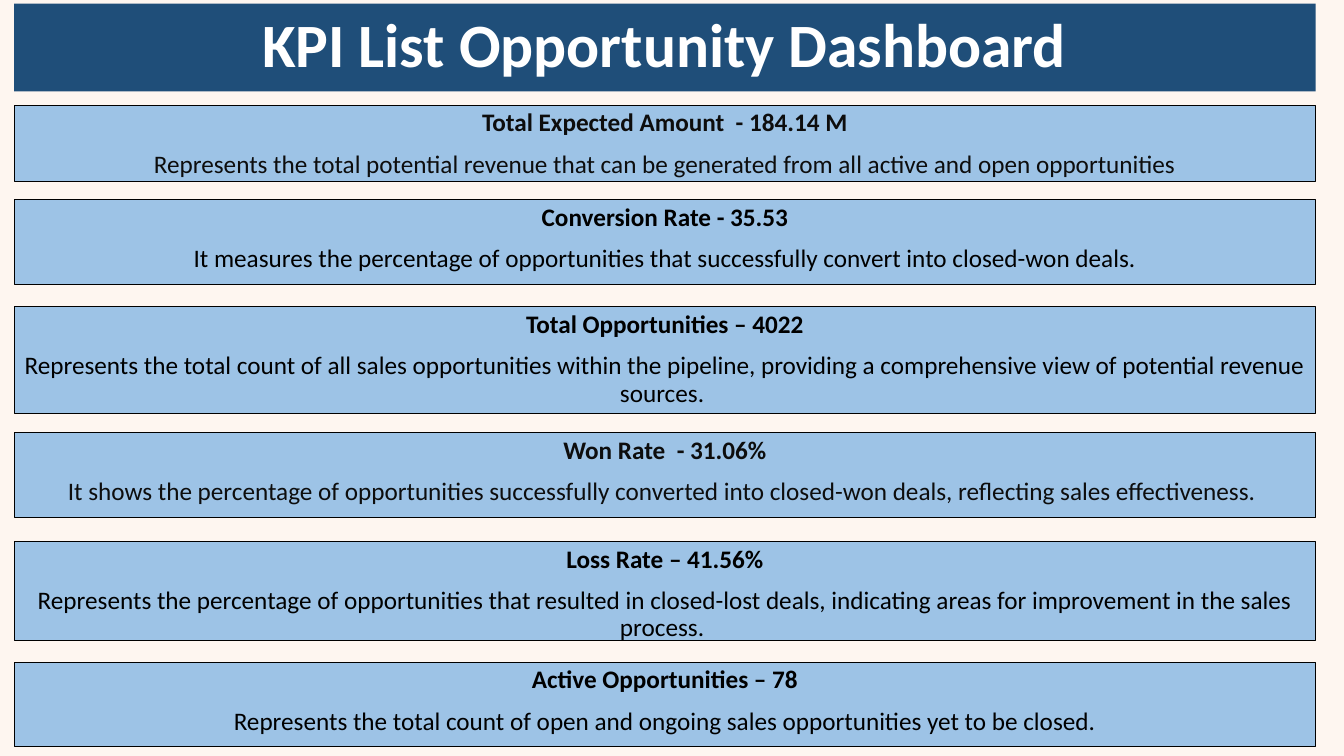
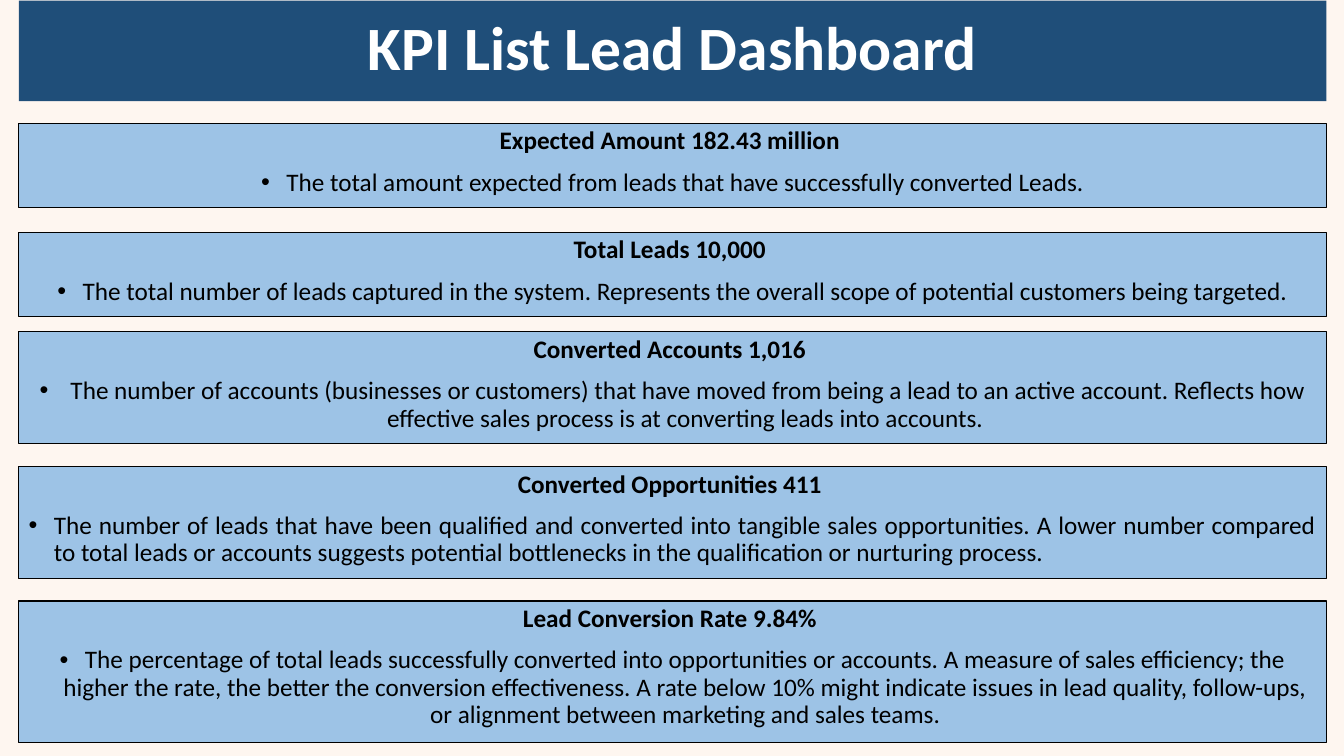
from lxml.etree import SubElement
from pptx import Presentation
from pptx.dml.color import RGBColor
from pptx.enum.shapes import MSO_SHAPE
from pptx.enum.text import MSO_ANCHOR, PP_ALIGN
from pptx.oxml.ns import qn
from pptx.util import Inches, Pt

BACKGROUND = "FEF6F0"
TITLE_BLUE = "1F4E79"
CARD_BLUE = "9DC3E6"
WHITE = "FFFFFF"
BLACK = "000000"
SOFT_BLACK = "0D0D0D"
CENTER = PP_ALIGN.CENTER
JUSTIFY = PP_ALIGN.JUSTIFY

presentation = Presentation()
presentation.slide_width = Inches(13.33)
presentation.slide_height = Inches(7.5)
column = presentation.slide_width / 100
row = presentation.slide_height / 100


def paint(color_format, color):
    color_format.rgb = RGBColor.from_string(color)


def add_band(slide, box, fill, texts, size, ink):
    left, top, width, height = box
    shape = slide.shapes.add_shape(
        MSO_SHAPE.RECTANGLE,
        round(left * column), round(top * row),
        round(width * column), round(height * row),
    )
    shape.shadow.inherit = False
    shape.fill.solid()
    paint(shape.fill.fore_color, fill)
    shape.line.fill.background()
    text_frame = shape.text_frame
    text_frame.word_wrap = True
    text_frame.text = "\n".join(texts)
    for index, paragraph in enumerate(text_frame.paragraphs):
        paragraph.alignment = CENTER
        paragraph.line_spacing = 0.9
        font = paragraph.runs[0].font
        font.name = "Calibri"
        font.size = Pt(size)
        font.bold = index == 0
        paint(font.color, ink)
    return shape


pages = [
    {
        "title": "KPI List Opportunity Dashboard",
        "left": 1.05, "width": 96.85, "title_top": 0.5, "title_height": 11.6,
        "bullets": False,
        "cards": [
            (13.9, 10.1, SOFT_BLACK, CENTER, "Total Expected Amount  - 184.14 M",
             "Represents the total potential revenue that can be generated from all "
             "active and open opportunities"),
            (26.4, 11.2, BLACK, CENTER, "Conversion Rate - 35.53",
             "It measures the percentage of opportunities that successfully convert "
             "into closed-won deals."),
            (40.6, 14.1, BLACK, CENTER, "Total Opportunities – 4022",
             "Represents the total count of all sales opportunities within the pipeline, "
             "providing a comprehensive view of potential revenue sources. "),
            (57.2, 11.2, SOFT_BLACK, CENTER, "Won Rate  - 31.06%",
             "It shows the percentage of opportunities successfully converted into "
             "closed-won deals, reflecting sales effectiveness. "),
            (71.6, 13.1, BLACK, CENTER, "Loss Rate – 41.56%",
             "Represents the percentage of opportunities that resulted in closed-lost "
             "deals, indicating areas for improvement in the sales process. "),
            (87.6, 11.2, BLACK, CENTER, "Active Opportunities – 78",
             "Represents the total count of open and ongoing sales opportunities "
             "yet to be closed."),
        ],
    },
    {
        "title": "KPI List Lead Dashboard",
        "left": 1.4, "width": 97.3, "title_top": 0.1, "title_height": 13.3,
        "bullets": True,
        "cards": [
            (16.3, 11.2, BLACK, CENTER, "Expected Amount 182.43 million ",
             "The total amount expected from leads that have successfully converted Leads."),
            (30.7, 11.2, BLACK, CENTER, "Total Leads 10,000 ",
             "The total number of leads captured in the system. Represents the overall "
             "scope of potential customers being targeted."),
            (43.9, 14.8, BLACK, CENTER, "Converted Accounts 1,016 ",
             " The number of accounts (businesses or customers) that have moved from "
             "being a lead to an active account. Reflects how effective sales process "
             "is at converting leads into accounts."),
            (61.7, 14.8, BLACK, JUSTIFY, "Converted Opportunities 411 ",
             "The number of leads that have been qualified and converted into tangible "
             "sales opportunities. A lower number compared to total leads or accounts "
             "suggests potential bottlenecks in the qualification or nurturing process."),
            (79.5, 18.7, BLACK, CENTER, "Lead Conversion Rate 9.84% ",
             "The percentage of total leads successfully converted into opportunities or "
             "accounts. A measure of sales efficiency; the higher the rate, the better "
             "the conversion effectiveness. A rate below 10% might indicate issues in "
             "lead quality, follow-ups, or alignment between marketing and sales teams."),
        ],
    },
]

for page in pages:
    slide = presentation.slides.add_slide(presentation.slide_layouts[6])
    slide.background.fill.solid()
    paint(slide.background.fill.fore_color, BACKGROUND)
    left, width = page["left"], page["width"]

    title_box = (left, page["title_top"], width, page["title_height"])
    title = add_band(slide, title_box, TITLE_BLUE, [page["title"]], 44, WHITE)
    title.text_frame.vertical_anchor = MSO_ANCHOR.MIDDLE

    for top, height, ink, alignment, heading, description in page["cards"]:
        card = add_band(slide, (left, top, width, height), CARD_BLUE,
                        [heading, description], 18, ink)
        paint(card.line.color, BLACK)
        card.line.width = Pt(0.75)
        card.text_frame.vertical_anchor = MSO_ANCHOR.TOP
        paragraph = card.text_frame.paragraphs[1]
        paragraph.alignment = alignment
        paragraph.space_before = Pt(10)
        if page["bullets"]:
            properties = paragraph._p.get_or_add_pPr()
            properties.set("marL", str(Inches(0.25)))
            properties.set("indent", str(-Inches(0.25)))
            SubElement(properties, qn("a:buFont")).set("typeface", "Arial")
            SubElement(properties, qn("a:buChar")).set("char", "•")

presentation.save("out.pptx")
